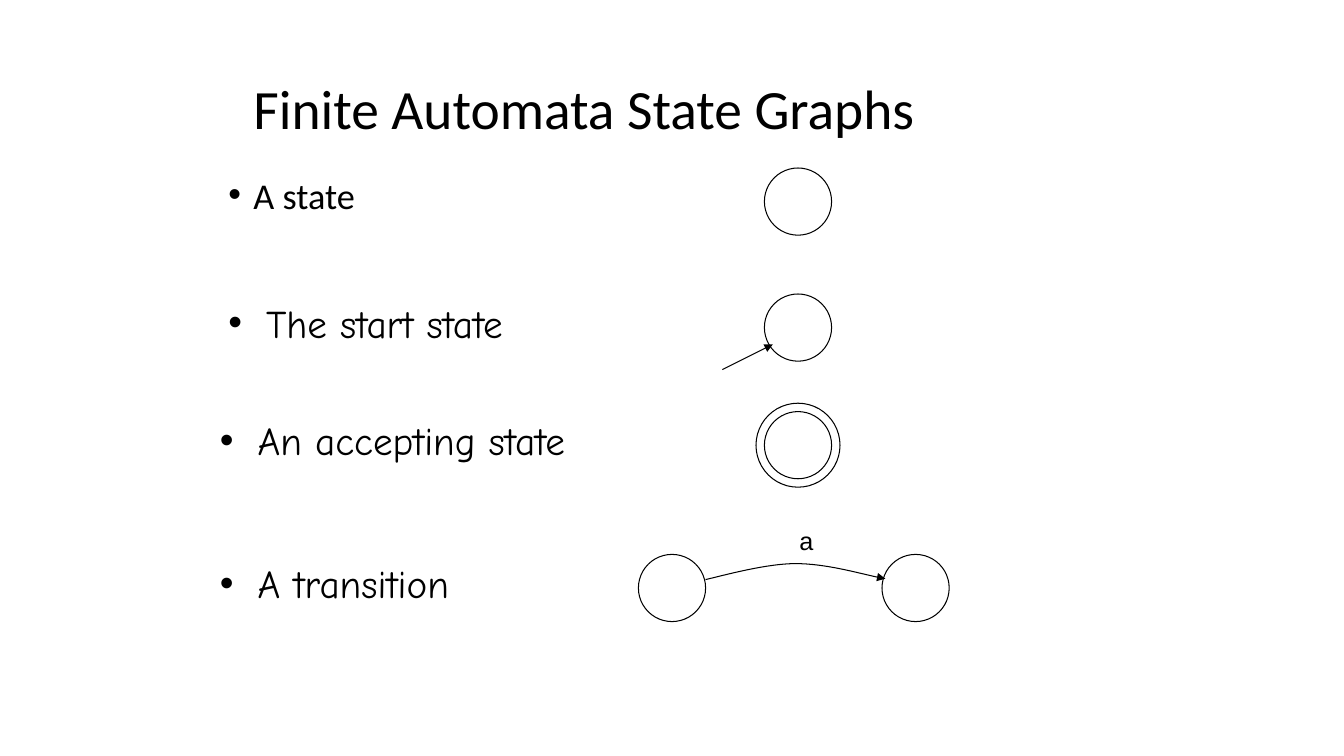
from dataclasses import dataclass

from lxml.etree import SubElement
from pptx import Presentation
from pptx.dml.color import RGBColor
from pptx.enum.shapes import MSO_CONNECTOR, MSO_SHAPE
from pptx.enum.text import MSO_ANCHOR
from pptx.oxml.ns import qn
from pptx.util import Pt

SCALE = 7620
INK = "000000"


@dataclass
class Label:
    text: str
    left: int
    top: int
    width: int
    height: int
    font: str
    size: float
    indent: int = 0
    before: float = 0
    lines: float = 1.0
    wrap: bool = True
    middle: bool = False


@dataclass
class State:
    left: int
    top: int
    size: int = 80


def px(count: int) -> int:
    return count * SCALE


def color(code: str) -> RGBColor:
    return RGBColor.from_string(code)


def write(slide, item: Label) -> None:
    box = slide.shapes.add_textbox(
        px(item.left), px(item.top), px(item.width), px(item.height)
    )
    frame = box.text_frame
    frame.word_wrap = item.wrap
    frame.vertical_anchor = MSO_ANCHOR.MIDDLE if item.middle else MSO_ANCHOR.TOP
    frame.text = item.text
    para = frame.paragraphs[0]
    para.line_spacing = item.lines
    para.space_before = Pt(item.before)
    font = para.runs[0].font
    font.name = item.font
    font.size = Pt(item.size)
    font.color.rgb = color(INK)
    if item.indent:
        props = para._p.get_or_add_pPr()
        props.set("marL", str(px(item.indent)))
        props.set("indent", str(-px(item.indent)))
        SubElement(props, qn("a:buFont")).set("typeface", "Arial")
        SubElement(props, qn("a:buChar")).set("char", "•")


def ink(line) -> None:
    line.color.rgb = color(INK)
    line.width = Pt(0.75)


def point(line) -> None:
    SubElement(line._get_or_add_ln(), qn("a:tailEnd")).set("type", "triangle")


def ring(slide, state: State) -> None:
    shape = slide.shapes.add_shape(
        MSO_SHAPE.OVAL, px(state.left), px(state.top), px(state.size), px(state.size)
    )
    shape.shadow.inherit = False
    shape.fill.background()
    ink(shape.line)


def arrow(slide, start: tuple[int, int], end: tuple[int, int]) -> None:
    link = slide.shapes.add_connector(
        MSO_CONNECTOR.STRAIGHT, *map(px, start), *map(px, end)
    )
    ink(link.line)
    point(link.line)
    SubElement(link._element.spPr, qn("a:effectLst"))


def curve(slide, knots: list[tuple[int, int]]) -> None:
    first, *rest = knots
    maker = slide.shapes.build_freeform(*first, scale=SCALE)
    maker.add_line_segments(rest, close=False)
    shape = maker.convert_to_shape()
    steps = shape._element.xpath(".//a:lnTo")
    for start in range(0, len(steps), 3):
        trio = steps[start:start + 3]
        route = trio[0].getparent()
        bend = SubElement(route, qn("a:cubicBezTo"))
        for step in trio:
            bend.append(step[0])
            route.remove(step)
    shape.shadow.inherit = False
    shape.fill.background()
    ink(shape.line)
    point(shape.line)


def term(text: str, left: int, top: int) -> Label:
    return Label(text, left, top, 1090, 70, "Comic Neue", 28, 45, 5.6)


LABELS = [
    Label("Finite Automata State Graphs", 290, 80, 878, 106, "Calibri", 39.6,
          lines=0.9, middle=True),
    Label("A state", 260, 210, 1090, 56, "Calibri", 25.9, 30, 10, 0.8),
    term("The start state", 260, 350),
    term("An accepting state", 250, 490),
    term("A transition", 250, 660),
    Label("a", 940, 620, 41, 48, "Arial", 18, wrap=False),
]
STATES = [
    State(910, 200),
    State(910, 350),
    State(910, 490),
    State(900, 480, 100),
    State(760, 660),
    State(1050, 660),
]
BEND = [(840, 690), (858, 686), (911, 671), (947, 671),
        (983, 671), (1031, 685), (1054, 689)]


def main() -> None:
    deck = Presentation()
    deck.slide_width = px(1600)
    deck.slide_height = px(900)
    slide = deck.slides.add_slide(deck.slide_layouts[6])
    for item in LABELS:
        write(slide, item)
    for state in STATES:
        ring(slide, state)
    arrow(slide, (860, 440), (920, 410))
    curve(slide, BEND)
    deck.save("out.pptx")


if __name__ == "__main__":
    main()
